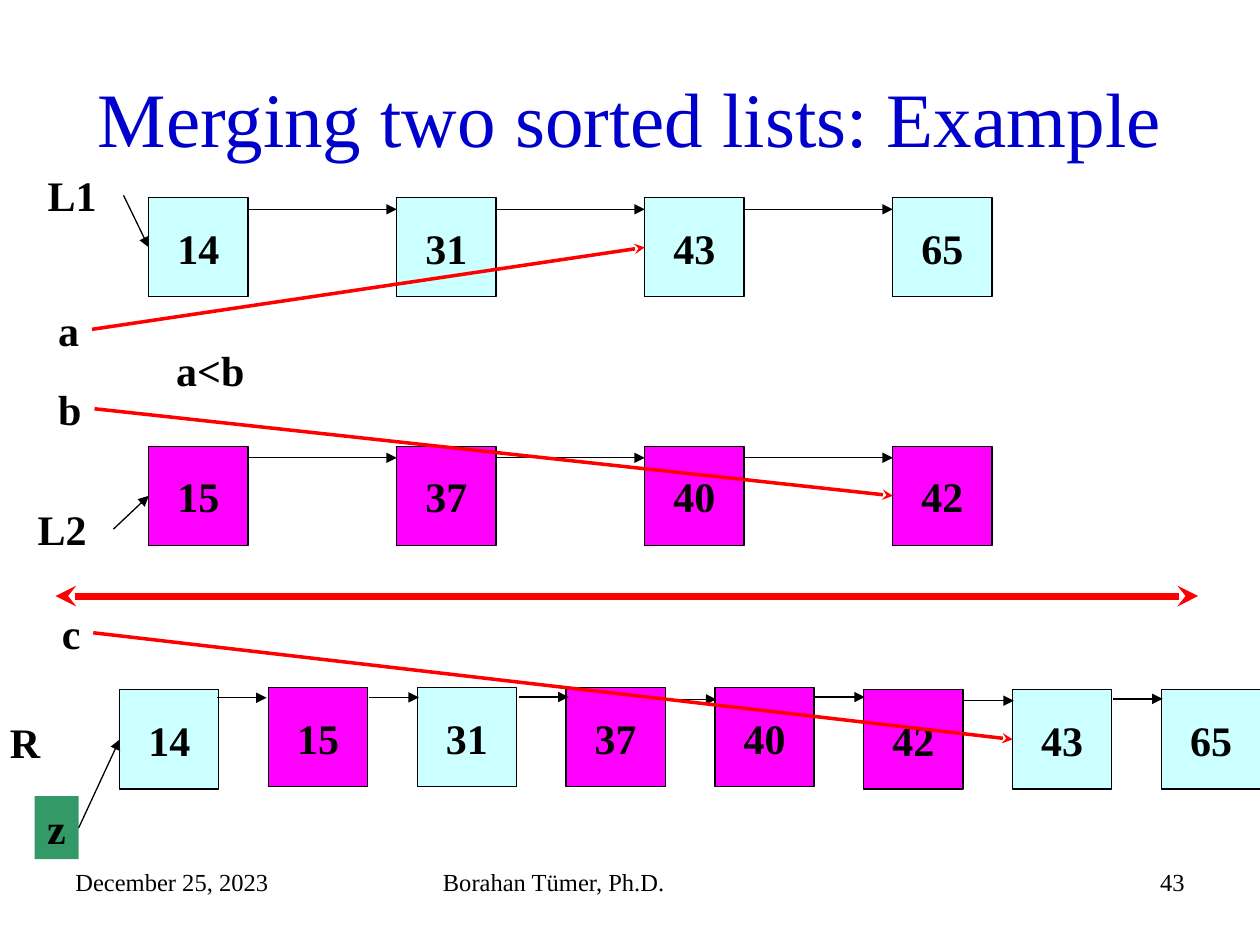
"""Build the slide on merging two sorted linked lists."""
import pptx
import pptx.util
import pptx.dml.color
import pptx.enum.shapes
import pptx.enum.text
import pptx.oxml
import pptx.oxml.ns

Pt = pptx.util.Pt
ALIGN = pptx.enum.text.PP_ALIGN
ANCHOR = pptx.enum.text.MSO_ANCHOR
FONT = "Times New Roman"
HUES = {"ink": "000000", "title": "0000CC", "one": "CCFFFF",
        "two": "FF00FF", "mark": "FF0000", "tag": "339966"}
SIDE = 56.7
LEFT, RIGHT = 1, 3

TITLE = ("Merging two sorted lists: Example", 36, 21.6, 648, 90, 44, "title", ALIGN.CENTER)
FOOT = [
    ("December 25, 2023", 36, 491.8, 168, 37.4, 14, "ink", ALIGN.LEFT),
    ("Borahan Tümer, Ph.D.", 246, 491.8, 228, 37.4, 14, "ink", ALIGN.LEFT),
    ("43", 516, 491.8, 168, 37.4, 14, "ink", ALIGN.RIGHT),
]
ROWS = {
    "L1": (85, 113, 141.73, [("14", "one"), ("31", "one"), ("43", "one"), ("65", "one")]),
    "L2": (85, 255, 141.73, [("15", "two"), ("37", "two"), ("40", "two"), ("42", "two")]),
    "R": (68.4, 394.2, 85.04, [("14", "one"), ("15", "two"), ("31", "one"), ("37", "two"),
                               ("40", "two"), ("42", "two"), ("43", "one"), ("65", "one")]),
}
RAISED = ("R", range(1, 5), 1.2)
LABELS = {
    "L1": (20.2, 93.6, 50.4), "L2": (14.4, 284.4, 50.4), "R": (-1.4, 406.1, 41),
    "a": (26.1, 170.2, 26.5), "b": (26.1, 215.6, 27.9), "c": (28.2, 343.6, 25.1),
    "a<b": (93.6, 193.3, 53.3), "z": (19.8, 455, 25.2),
}
LINKS = [("L1", "L1", 0, "ink"), ("L2", "L2", 0, "ink"), ("z", "R", 0, "ink"),
         ("a", "L1", 2, "mark"), ("b", "L2", 3, "mark"), ("c", "R", 6, "mark")]
HOPS = [(124, 398.7), (211, 398.5), (296.6, 398.3), (381, 399.6),
        (465.8, 398.3), (551, 400.4), (636, 399.4)]
HOP = 28.35
RULE = (31.7, 684.7, 340.6)


def paint(hue):
    return pptx.dml.color.RGBColor.from_string(HUES[hue])


def style(frame, text, size, hue="ink", bold=False, align=ALIGN.LEFT):
    frame.text = text
    para = frame.paragraphs[0]
    para.alignment = align
    font = para.runs[0].font
    font.name, font.size, font.bold = FONT, Pt(size), bold
    font.color.rgb = paint(hue)


def add_text(slide, text, x, y, wide, high, size, hue, align):
    frame = slide.shapes.add_textbox(Pt(x), Pt(y), Pt(wide), Pt(high)).text_frame
    frame.word_wrap = True
    style(frame, text, size, hue, False, align)
    return frame


def add_label(slide, text, x, y, wide):
    box = slide.shapes.add_textbox(Pt(x), Pt(y), Pt(wide), Pt(36))
    box.text_frame.word_wrap = False
    box.text_frame.auto_size = pptx.enum.text.MSO_AUTO_SIZE.SHAPE_TO_FIT_TEXT
    style(box.text_frame, text, 24, bold=True)
    return box


def add_node(slide, text, x, y, hue):
    box = slide.shapes.add_shape(pptx.enum.shapes.MSO_SHAPE.RECTANGLE,
                                 Pt(x), Pt(y), Pt(SIDE), Pt(SIDE))
    box.shadow.inherit = False
    box.fill.solid()
    box.fill.fore_color.rgb = paint(hue)
    box.line.color.rgb = paint("ink")
    box.line.width = Pt(0.75)
    box.text_frame.word_wrap = False
    box.text_frame.vertical_anchor = ANCHOR.MIDDLE
    style(box.text_frame, text, 24, bold=True, align=ALIGN.CENTER)
    return box


def add_arrow(slide, x, y, end, hue="ink", width=0.75, head="triangle", both=False):
    line = slide.shapes.add_connector(pptx.enum.shapes.MSO_CONNECTOR.STRAIGHT,
                                      Pt(x), Pt(y), Pt(end), Pt(y))
    line.line.color.rgb = paint(hue)
    line.line.width = Pt(width)
    edge = line.get_or_add_ln()
    for tag in ("a:headEnd", "a:tailEnd") if both else ("a:tailEnd",):
        tip = pptx.oxml.ns.qn(tag)
        edge.append(edge.makeelement(tip, {"type": head}))
    props = line._element.spPr
    props.append(props.makeelement(pptx.oxml.ns.qn("a:effectLst"), {}))
    return line


def main():
    deck = pptx.Presentation()
    deck.slide_width, deck.slide_height = Pt(720), Pt(540)
    slide = deck.slides.add_slide(deck.slide_layouts[6])

    add_text(slide, *TITLE).vertical_anchor = ANCHOR.MIDDLE
    for item in FOOT:
        add_text(slide, *item)

    nodes = {}
    for name, (left, top, step, items) in ROWS.items():
        nodes[name] = []
        for i, (text, hue) in enumerate(items):
            lift = RAISED[2] if name == RAISED[0] and i in RAISED[1] else 0
            nodes[name].append(add_node(slide, text, left + i * step, top - lift, hue))

    labels = {text: add_label(slide, text, *place) for text, place in LABELS.items()}
    labels["z"].fill.solid()
    labels["z"].fill.fore_color.rgb = paint("tag")

    for name in ("L1", "L2"):
        left, top, step, items = ROWS[name]
        for i in range(len(items) - 1):
            add_arrow(slide, left + i * step + SIDE, top + 6.6, left + (i + 1) * step)
    for x, y in HOPS:
        add_arrow(slide, x, y, x + HOP)

    for label, row, index, hue in LINKS:
        look = (2, "stealth") if hue == "mark" else (0.75, "triangle")
        link = add_arrow(slide, 0, 0, 0, hue, *look)
        link.begin_connect(labels[label], RIGHT)
        link.end_connect(nodes[row][index], LEFT)

    start, end, y = RULE
    add_arrow(slide, start, y, end, "mark", 4, "stealth", True)
    deck.save("out.pptx")


if __name__ == "__main__":
    main()
